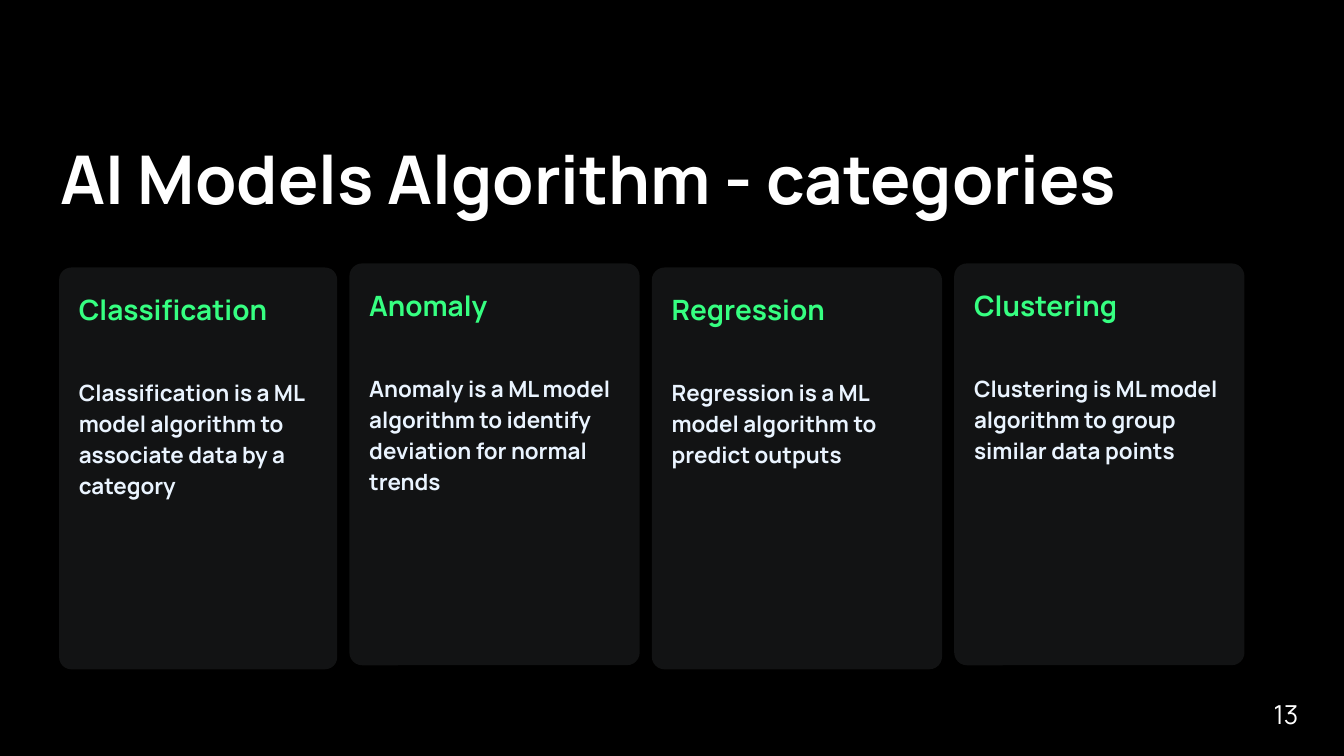
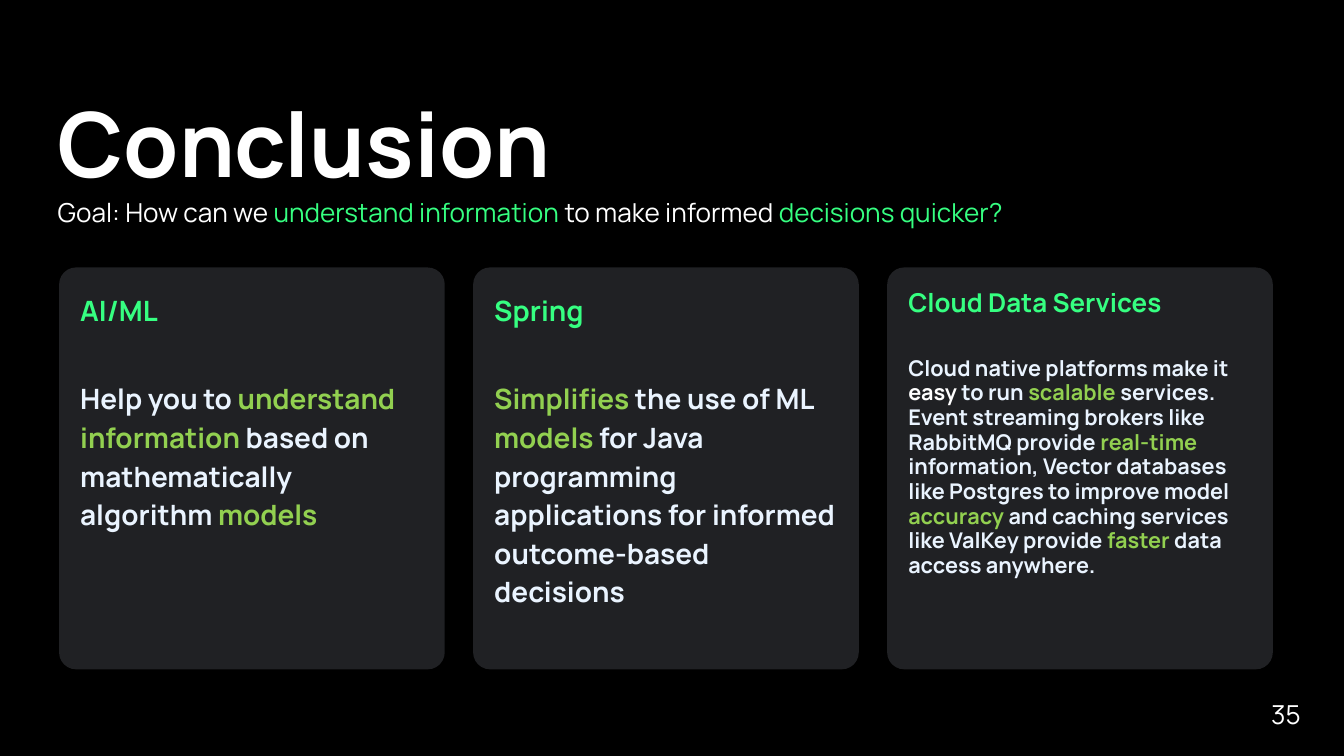
import pptx
import pptx.dml.color
import pptx.enum.shapes
import pptx.enum.text
import pptx.oxml.ns
import pptx.util
from lxml import etree

Pt = pptx.util.Pt
RGB = pptx.dml.color.RGBColor
ALIGN = pptx.enum.text.PP_ALIGN
ANCHOR = pptx.enum.text.MSO_ANCHOR

BLACK = RGB(0x00, 0x00, 0x00)
WHITE = RGB(0xFF, 0xFF, 0xFF)
GREEN = RGB(0x36, 0xFF, 0x81)
LIME = RGB(0x92, 0xD0, 0x50)
ICE = RGB(0xEA, 0xF4, 0xFF)
GLASS = RGB(0xEB, 0xF5, 0xFF)
CHARCOAL = RGB(0x20, 0x21, 0x24)

FONT = "Manrope"
CARD_TOP, CARD_HEIGHT = 143.3, 215.3


class Deck:
    def __init__(self, prs):
        self.prs = prs
        self.s = None
        fill = prs.slide_master.background.fill
        fill.solid()
        fill.fore_color.rgb = BLACK

    def new_slide(self, title, box, size, number):
        self.s = self.prs.slides.add_slide(self.prs.slide_layouts[5])
        sp = self.s.shapes.title
        sp.left, sp.top, sp.width, sp.height = map(Pt, box)
        tf = self.frame(sp, ANCHOR.MIDDLE, 7.2, 7.2)
        self.add_runs(tf.paragraphs[0], [(title, WHITE)], size, True,
                      alignment=ALIGN.LEFT, line_spacing=0.8)
        self.text((667.4, 367.2, 43.2, 31), [(number, WHITE)], ANCHOR.MIDDLE,
                  7.2, ALIGN.CENTER)

    def frame(self, sp, anchor, side, top):
        tf = sp.text_frame
        style = dict(word_wrap=True, vertical_anchor=anchor,
                     auto_size=pptx.enum.text.MSO_AUTO_SIZE.NONE,
                     margin_left=Pt(side), margin_right=Pt(side),
                     margin_top=Pt(top), margin_bottom=Pt(top))
        for name, value in style.items():
            setattr(tf, name, value)
        return tf

    def add_runs(self, p, runs, size, bold=False, **layout):
        """Fill a paragraph with (text, colour) runs."""
        for name, value in layout.items():
            setattr(p, name, value)
        for text, colour in runs:
            r = p.add_run()
            r.text = text
            for name, value in dict(name=FONT, size=Pt(size), bold=bold).items():
                setattr(r.font, name, value)
            r.font.color.rgb = colour

    def text(self, box, runs, anchor=ANCHOR.TOP, top=3.6, align=ALIGN.LEFT):
        sp = self.s.shapes.add_textbox(*map(Pt, box))
        tf = self.frame(sp, anchor, 7.2, top)
        self.add_runs(tf.paragraphs[0], runs, 14, alignment=align)

    def card(self, left, width, heading, body, top=CARD_TOP, sizes=(15, 12),
             gap=26.6, spacing=1.15, colour=CHARCOAL, opacity=None):
        sp = self.s.shapes.add_shape(
            pptx.enum.shapes.MSO_SHAPE.ROUNDED_RECTANGLE,
            Pt(left), Pt(top), Pt(width), Pt(CARD_HEIGHT))
        sp.adjustments[0] = 0.044
        sp.shadow.inherit = False
        sp.line.fill.background()
        sp.fill.solid()
        sp.fill.fore_color.rgb = colour
        if opacity is not None:
            qn = pptx.oxml.ns.qn
            clr = sp.element.spPr.find(qn("a:solidFill")).find(qn("a:srgbClr"))
            etree.SubElement(clr, qn("a:alpha"), val=str(opacity * 1000))
        tf = self.frame(sp, ANCHOR.TOP, 8.64, 8.64)
        layout = dict(alignment=ALIGN.LEFT, line_spacing=spacing)
        self.add_runs(tf.paragraphs[0], [(heading, GREEN)], sizes[0], True, **layout)
        self.add_runs(tf.add_paragraph(), body, sizes[1], True,
                      space_before=Pt(gap), **layout)


def categories_slide(deck):
    deck.new_slide("AI Models Algorithm - categories",
                   (25.2, 64.8, 663.1, 69.1), 36, "13")
    raised = CARD_TOP - 2.2
    categories = [
        ("Classification", 31.7, 149, CARD_TOP,
         "Classification is a ML model algorithm to associate data by a category"),
        ("Anomaly", 187.2, 155.5, raised,
         "Anomaly is a ML model algorithm to identify deviation for normal trends"),
        ("Regression", 349.2, 155.5, CARD_TOP,
         "Regression is a ML model algorithm to predict outputs"),
        ("Clustering", 511.2, 155.5, raised,
         "Clustering is ML model algorithm to group similar data points"),
    ]
    for heading, left, width, top, body in categories:
        deck.card(left, width, heading, [(body, ICE)], top=top,
                  colour=GLASS, opacity=8)


def conclusion_slide(deck):
    deck.new_slide("Conclusion", (23.8, 46.8, 583.9, 69.1), 48, "35")
    large = dict(sizes=(15, 15))
    small = dict(sizes=(13.9, 11.6), gap=20.6, spacing=0.95)
    conclusions = [
        ("AI/ML", large, [
            ("Help you to ", ICE), ("understand information ", LIME),
            ("based on mathematically algorithm ", ICE), ("models", LIME)]),
        ("Spring", large, [
            ("Simplifies", LIME), (" the use of ML ", ICE), ("models", LIME),
            (" for Java programming applications for informed "
             "outcome-based decisions", ICE)]),
        ("Cloud Data Services", small, [
            ("Cloud native platforms make it ", ICE), ("easy", WHITE),
            (" to run ", ICE), ("scalable", LIME),
            (" services. Event streaming brokers like RabbitMQ provide ", ICE),
            ("real-time", LIME),
            (" information, Vector databases like Postgres to improve model ", ICE),
            ("accuracy", LIME),
            (" and caching services like ValKey provide ", ICE),
            ("faster", LIME), (" data access anywhere.", ICE)]),
    ]
    for i, (heading, style, body) in enumerate(conclusions):
        deck.card(31.7 + 221.8 * i, 206.6, heading, body, **style)
    deck.text((23.8, 101.5, 561.6, 24.5), [
        ("Goal: How can we", WHITE), (" understand information ", GREEN),
        ("to make informed ", WHITE), ("decisions quicker?", GREEN)])


def main():
    prs = pptx.Presentation()
    prs.slide_width, prs.slide_height = Pt(720), Pt(405)
    deck = Deck(prs)
    categories_slide(deck)
    conclusion_slide(deck)
    prs.save("out.pptx")


if __name__ == "__main__":
    main()
